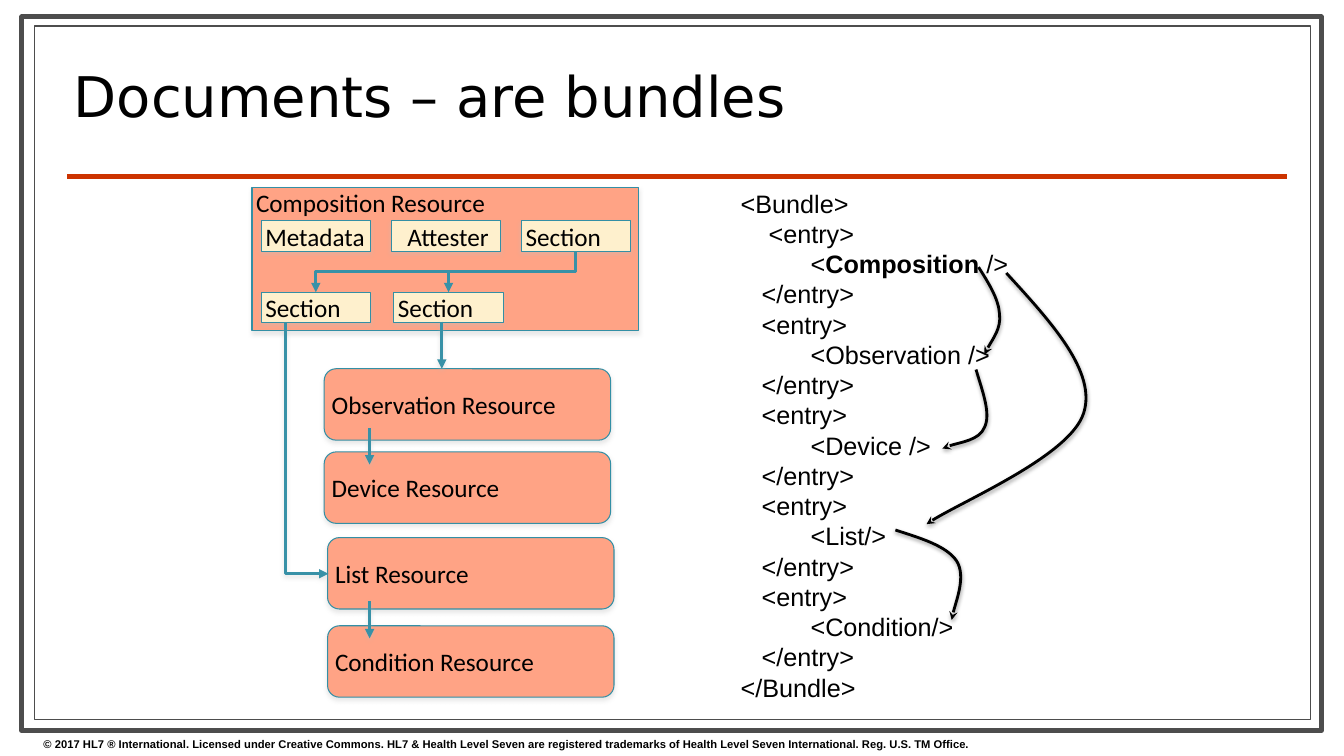
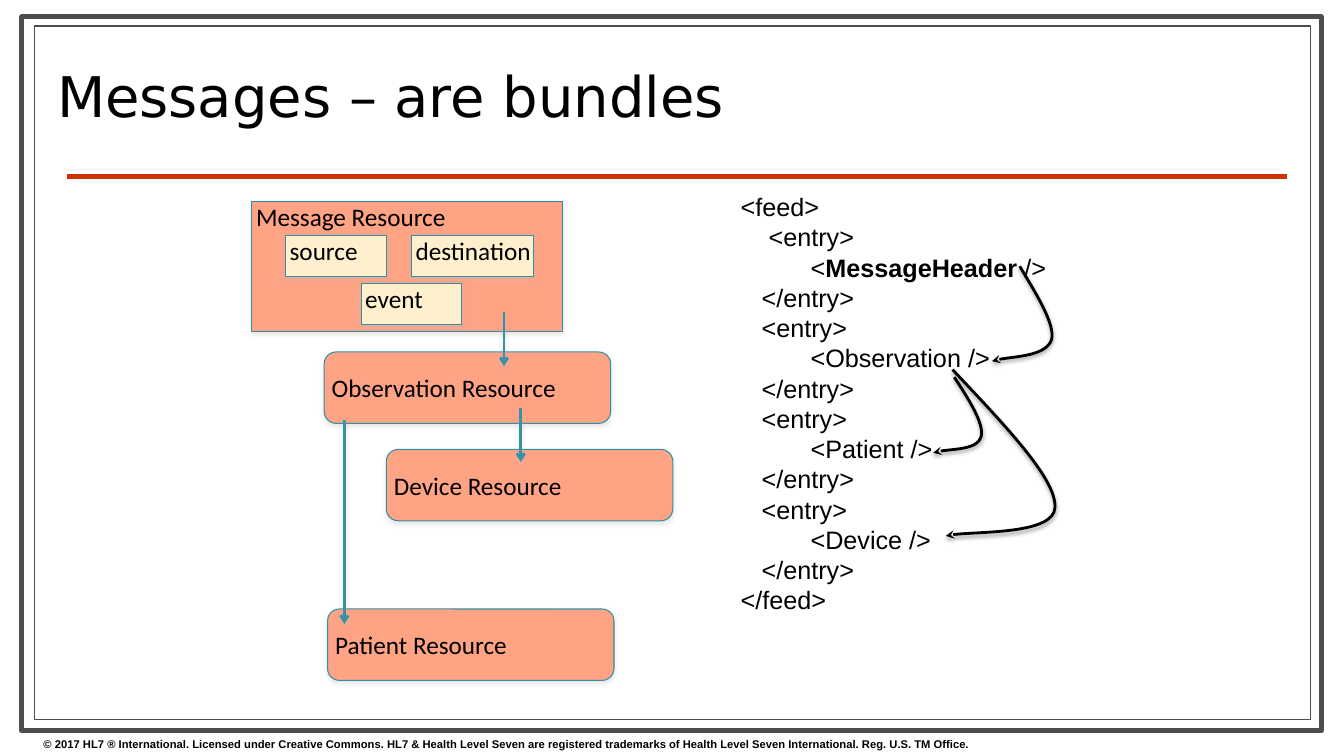
from pptx import Presentation
from pptx.dml.color import RGBColor
from pptx.enum.shapes import MSO_CONNECTOR, MSO_SHAPE
from pptx.enum.text import MSO_ANCHOR, MSO_AUTO_SIZE, PP_ALIGN
from pptx.oxml import parse_xml
from pptx.oxml.ns import nsdecls, qn
from pptx.oxml.xmlchemy import OxmlElement
from pptx.util import Emu, Inches, Pt

WHITE = RGBColor(0xFF, 0xFF, 0xFF)
BLACK = RGBColor(0x00, 0x00, 0x00)
GREY = RGBColor(0x4D, 0x4D, 0x4D)
RED = RGBColor(0xCC, 0x33, 0x00)
SALMON = RGBColor(0xFF, 0xA3, 0x85)
CREAM = RGBColor(0xFE, 0xF0, 0xCD)
EDGE = RGBColor(0x33, 0x8F, 0xA5)
TEAL = RGBColor(0x38, 0x91, 0xA7)
SILVER = RGBColor(0xC0, 0xC0, 0xC0)

# Shadows: colour, opacity in percent, blur and distance in points
BOX_SHADOW = (SILVER, 35, 3, 1.8)
ARROW_SHADOW = (SILVER, 38, 3, 1.6)
CURVE_SHADOW = (BLACK, 38, 3.1, 1.6)

COPYRIGHT = (
    "© 2017 HL7 ® International. Licensed under Creative Commons. "
    "HL7 & Health Level Seven are registered trademarks of Health Level Seven "
    "International. Reg. U.S. TM Office."
)

# The slide is a grid of 160 columns and 90 rows of square cells
COLUMNS, ROWS = 160, 90
CELL = Inches(7.5) / ROWS
CARD_SIZE = (34.1, 8.5)


def cells(*counts):
    return [Emu(round(count * CELL)) for count in counts]


def outline(item, colour, weight, shadow=None, arrow=None):
    """Set the line, arrowhead and shadow of a shape or connector."""
    item.line.color.rgb = colour
    item.line.width = Pt(weight)
    properties = item.element.spPr
    if arrow:
        tail = OxmlElement("a:tailEnd")
        tail.set("type", arrow)
        properties.find(qn("a:ln")).append(tail)
    cast = ""
    if shadow:
        tint, opacity, blur, distance = shadow
        cast = (
            f'<a:outerShdw blurRad="{Pt(blur)}" dist="{Pt(distance)}" '
            f'dir="5400000" rotWithShape="0"><a:srgbClr val="{tint}">'
            f'<a:alpha val="{opacity * 1000}"/></a:srgbClr></a:outerShdw>'
        )
    properties.append(
        parse_xml(f'<a:effectLst {nsdecls("a")}>{cast}</a:effectLst>'))


# Content of the two slides, in cells
SLIDES = [
    {
        "title": "Documents – are bundles",
        "title_at": (7.6, 7.3, 91.8, 9.6),
        "panel": ("Composition Resource", 30, 22.3, 46, 17.1),
        "chips": [
            ("Metadata", 31.1, 26.3, 13, 3.6),
            ("Attester", 46.6, 26.3, 13, 3.6),
            ("Section", 62.1, 26.3, 13, 3.6),
            ("Section", 31.1, 34.8, 13, 3.6),
            ("Section", 46.9, 34.8, 13, 3.6),
        ],
        "cards": [
            ("Observation Resource", 38.6, 43.9),
            ("Device Resource", 38.6, 53.8),
            ("List Resource", 39, 64),
            ("Condition Resource", 39, 74.5),
        ],
        "drops": [(52.6, 38.3, 43.9), (44, 51, 55.3), (44, 71.6, 76)],
        "drop_style": (2.25, "triangle"),
        "bends": [(68.5, 29.9, 37.6, 34.8), (68.5, 29.9, 53.4, 34.8)],
        "route": [(34, 38.4), (34, 68.3), (39.1, 68.3)],
        "code_at": (87, 21.8, 34.6, 63),
        "root": "Bundle",
        "entries": ["Composition /", "Observation /", "Device /",
                    "List/", "Condition/"],
        "curves": [
            [(116.5, 31.8), (117.7, 33.7), (118.9, 35.6), (119, 37.4),
             (119.2, 39.1), (117.5, 41.4), (117.2, 42.2)],
            [(119.8, 32.5), (125.2, 38.4), (130.6, 44.3), (129, 49.2),
             (127.4, 54.2), (113.3, 60.2), (110.3, 62.4)],
            [(106.6, 63.1), (109.7, 64.1), (112.7, 65), (113.9, 66.8),
             (115, 68.6), (113.3, 73.1), (113.3, 73.8)],
            [(116.2, 44), (117, 46.7), (118, 49.3), (117.2, 50.9),
             (116.6, 52.4), (113, 52.9), (112.2, 53.4)],
        ],
    },
    {
        "title": "Messages – are bundles",
        "title_at": (5.6, 4.3, 114.6, 15.5),
        "panel": ("Message Resource", 30, 24, 37, 15.5),
        "chips": [
            ("source", 34, 28, 12, 4.9),
            ("destination", 49, 28, 14.5, 4.9),
            ("event", 43, 33.7, 12, 4.9),
        ],
        "cards": [
            ("Observation Resource", 38.6, 41.9),
            ("Device Resource", 46, 53.5),
            ("Patient Resource", 39, 72.5),
        ],
        "drops": [(60, 37.1, 43.6), (62, 48.6, 55), (41, 50, 74.3)],
        "drop_style": (2, "arrow"),
        "bends": [],
        "route": [],
        "code_at": (87, 22.2, 39.1, 52.1),
        "root": "feed",
        "entries": ["MessageHeader /", "Observation /", "Patient /", "Device /"],
        "curves": [
            [(121.4, 31.7), (123.5, 35.2), (125.6, 38.6), (125.2, 40.4),
             (124.6, 42.4), (119.3, 42.5), (118.1, 43)],
            [(113.4, 44), (119.5, 50.5), (125.8, 57), (125.6, 60.4),
             (125.5, 63.6), (114.7, 63.2), (112.6, 63.8)],
            [(113.6, 44.9), (115.4, 47.6), (117.2, 50.5), (116.8, 52),
             (116.4, 53.5), (112, 53.5), (111.1, 53.9)],
        ],
    },
]

deck = Presentation()
deck.slide_width, deck.slide_height = cells(COLUMNS, ROWS)
layout = deck.slide_layouts[5]
pages = [deck.slides.add_slide(layout) for _ in SLIDES]

# Shared frame, rule and copyright line, moved to the layout
for holder in list(layout.placeholders):
    if holder.placeholder_format.idx != 0:
        layout.shapes.element.remove(holder.element)
shapes = pages[0].shapes
frame_parts = []
for place, weight in [((2.6, 2, 154.7, 85), 3.5), ((4.1, 3.1, 151.9, 82.6), 0.75)]:
    border = shapes.add_shape(MSO_SHAPE.RECTANGLE, *cells(*place))
    border.fill.solid()
    border.fill.fore_color.rgb = WHITE
    outline(border, GREY, weight)
    frame_parts.append(border)
rule = shapes.add_connector(MSO_CONNECTOR.STRAIGHT, *cells(8, 21, 153.2, 21))
outline(rule, RED, 3)
footer = shapes.add_textbox(*cells(4, 87.2, 156, 2.8))
footer.text_frame.word_wrap = True
para = footer.text_frame.paragraphs[0]
para.text = COPYRIGHT
para.font.size, para.font.name, para.font.bold = Pt(8), "Arial", True
para.font.color.rgb = BLACK
frame_parts += [rule, footer]
for position, part in enumerate(frame_parts, start=2):
    layout.shapes.element.insert(position, part.element)

for page, content in zip(pages, SLIDES):
    shapes = page.shapes

    # Title
    title = shapes.title
    title.left, title.top, title.width, title.height = cells(*content["title_at"])
    title.text_frame.text = content["title"]
    title.text_frame.auto_size = MSO_AUTO_SIZE.NONE
    title.text_frame.vertical_anchor = MSO_ANCHOR.MIDDLE
    para = title.text_frame.paragraphs[0]
    para.alignment = PP_ALIGN.LEFT
    para.line_spacing = 0.8
    para.font.size, para.font.name = Pt(40), "DejaVu Sans"
    para.font.color.rgb = BLACK

    # Panel, its chips, and the resource cards
    boxes = [(MSO_SHAPE.RECTANGLE, SALMON, MSO_ANCHOR.TOP, content["panel"])]
    boxes += [(MSO_SHAPE.RECTANGLE, CREAM, MSO_ANCHOR.TOP, chip)
              for chip in content["chips"]]
    boxes += [(MSO_SHAPE.ROUNDED_RECTANGLE, SALMON, MSO_ANCHOR.MIDDLE,
               card + CARD_SIZE) for card in content["cards"]]
    for kind, fill, anchor, (label, *place) in boxes:
        box = shapes.add_shape(kind, *cells(*place))
        box.fill.solid()
        box.fill.fore_color.rgb = fill
        outline(box, EDGE, 0.75, BOX_SHADOW)
        frame = box.text_frame
        frame.margin_left = Inches(0.04)
        frame.margin_top = frame.margin_right = frame.margin_bottom = 0
        frame.vertical_anchor = anchor
        para = frame.paragraphs[0]
        para.text = label
        para.alignment = PP_ALIGN.CENTER if label == "Attester" else PP_ALIGN.LEFT
        para.font.size, para.font.name = Pt(18), "Calibri"
        para.font.color.rgb = BLACK

    # Bundle markup, with the first entry in bold
    code = shapes.add_textbox(*cells(*content["code_at"]))
    code.text_frame.word_wrap = False
    code.text_frame.auto_size = MSO_AUTO_SIZE.SHAPE_TO_FIT_TEXT
    lines = [[f"<{content['root']}>"]]
    for number, entry in enumerate(content["entries"]):
        if number == 0:
            name, close = entry.split(" ")
            lines += [["    <entry>"], ["          <", name, f" {close}>"]]
        else:
            lines += [["   <entry>"], [f"          <{entry}>"]]
        lines.append(["   </entry>"])
    lines.append([f"</{content['root']}>"])
    for number, pieces in enumerate(lines):
        frame = code.text_frame
        para = frame.add_paragraph() if number else frame.paragraphs[0]
        for position, piece in enumerate(pieces):
            span = para.add_run()
            span.text = piece
            if position == 1:
                span.font.bold = True
        para.font.size, para.font.name = Pt(18), "Arial"
        para.font.color.rgb = BLACK

    # Straight arrows between boxes
    weight, arrow = content["drop_style"]
    for x, top, bottom in content["drops"]:
        drop = shapes.add_connector(MSO_CONNECTOR.STRAIGHT, *cells(x, top, x, bottom))
        outline(drop, TEAL, weight, ARROW_SHADOW, arrow)

    # Elbow arrows that leave downwards: a quarter turn about their centre
    for right, top, left, bottom in content["bends"]:
        middle_x, middle_y = (left + right) / 2, (top + bottom) / 2
        half_run, half_drop = (right - left) / 2, (bottom - top) / 2
        bend = shapes.add_connector(MSO_CONNECTOR.ELBOW, *cells(
            middle_x - half_drop, middle_y - half_run,
            middle_x + half_drop, middle_y + half_run))
        bend.element.spPr.find(qn("a:xfrm")).set("rot", "5400000")
        outline(bend, TEAL, 2.25, None, "triangle")

    # Side route and curved reference arrows
    tracks = [(points, BLACK, 2, CURVE_SHADOW, "stealth")
              for points in content["curves"]]
    if content["route"]:
        tracks.append((content["route"], TEAL, 2.25, ARROW_SHADOW, "triangle"))
    for points, *style in tracks:
        start, *others = [cells(*point) for point in points]
        builder = shapes.build_freeform(*start)
        builder.add_line_segments(others, close=False)
        track = builder.convert_to_shape()
        track.fill.background()
        outline(track, *style)
        if len(others) == 6:
            geometry = track.element.find(".//" + qn("a:path"))
            segments = geometry.findall(qn("a:lnTo"))
            for first in (0, 3):
                curve = OxmlElement("a:cubicBezTo")
                for segment in segments[first:first + 3]:
                    curve.append(segment[0])
                    geometry.remove(segment)
                geometry.append(curve)

deck.save("out.pptx")
